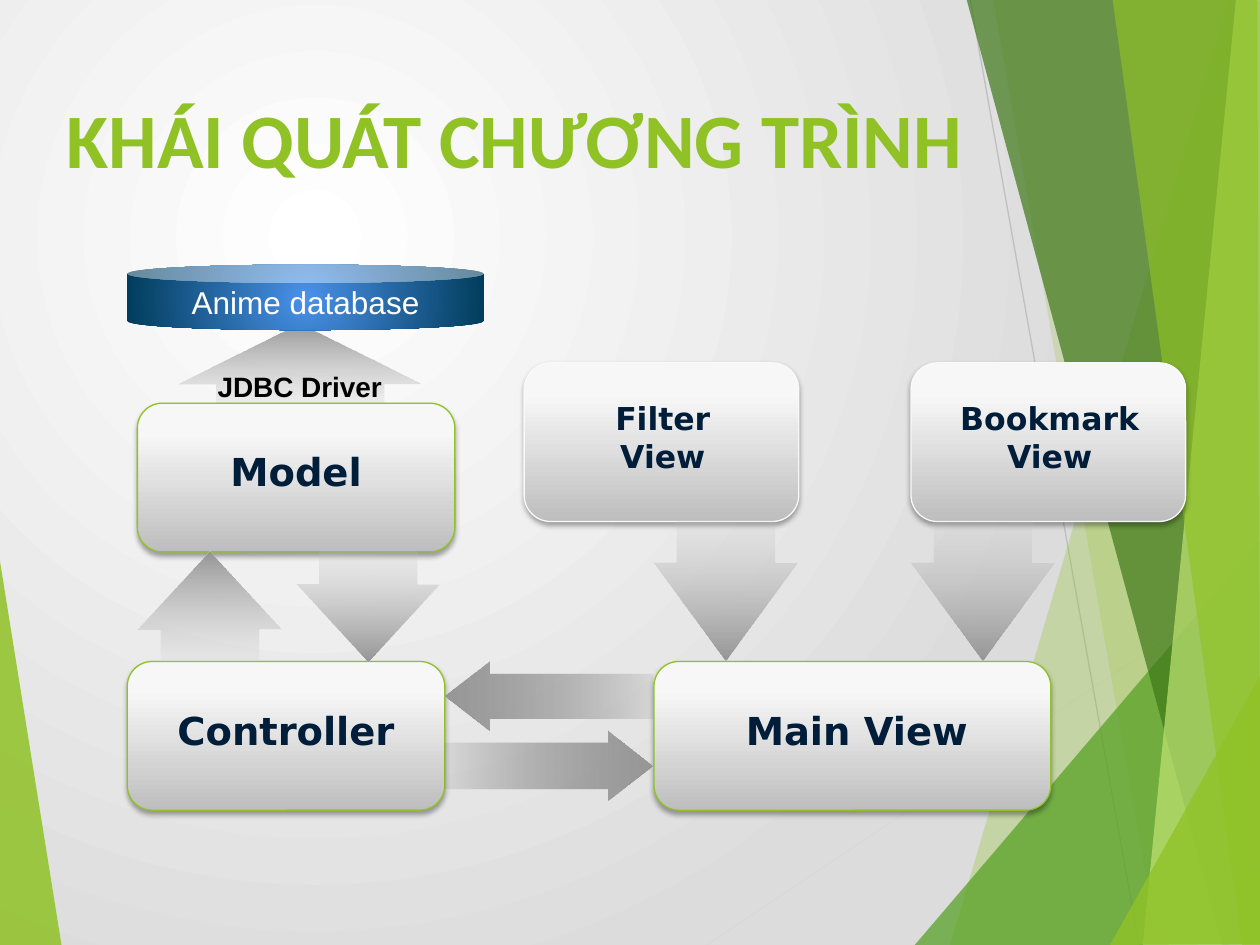
import pptx
import pptx.dml.color
import pptx.enum.shapes
import pptx.enum.text
import pptx.oxml
import pptx.oxml.ns
import pptx.util
from lxml import etree

Inches = pptx.util.Inches
Pt = pptx.util.Pt
qn = pptx.oxml.ns.qn
Shape = pptx.enum.shapes.MSO_SHAPE
Anchor = pptx.enum.text.MSO_ANCHOR
Align = pptx.enum.text.PP_ALIGN

COLORS = {
    "lime": "90C226", "green": "54A021", "forest": "3F7819", "pale": "C0E474",
    "navy": "001D3A", "white": "FFFFFF", "black": "000000",
    "page edge": "DCDCDC", "light rule": "D9D9D9", "dark rule": "BFBFBF",
    "card low": "BEBEBE", "card high": "F7F7F7", "card top": "F8F8F8",
    "arrow tip": "969696", "arrow tail": "C5C5C5", "side tail": "6B6B6B",
    "can centre": "4A91E9", "can edge": "003C5B", "soft border": "F9F9F9",
}
# Colour, opacity in percent, corner points
FACETS_BEHIND_RULES = [
    ("lime", 85, [(-0.01, 4.39), (0.49, 7.51), (-0.01, 7.5)]),
]
FACETS = [
    ("lime", 30, [(9.75, 0), (7.54, 7.5), (10.02, 7.51), (10.01, 0.01)]),
    ("lime", 20, [(7.88, -0.01), (9.19, 7.5), (10.01, 7.5), (10.01, -0.01)]),
    ("green", 72, [(7.26, 7.5), (10, 4.29), (10.01, 7.5)]),
    ("forest", 70, [(7.67, -0.01), (9.7, 7.5), (10.01, 7.49), (10.01, -0.01)]),
    ("pale", 70, [(9.81, -0.01), (9.07, 7.5), (10.01, 7.5), (10, -0.01)]),
    ("lime", 65, [(8.83, -0.01), (9.86, 7.5), (10, 7.5), (9.98, -0.01)]),
    ("lime", 80, [(8.81, 7.5), (10.01, 5.35), (10.01, 7.49)]),
]
CARD_STOPS = [(0, "card low", 100), (80, "card high", 100), (100, "card top", 100)]
ARROW_STOPS = [(0, "arrow tip", 100), (100, "arrow tail", 12)]
SIDE_STOPS = [(0, "arrow tip", 100), (100, "side tail", 12)]


def rgb(name):
    return pptx.dml.color.RGBColor.from_string(COLORS[name])


def add_color(parent, name, opacity):
    color = etree.SubElement(parent, qn("a:srgbClr"), val=COLORS[name])
    if opacity < 100:
        etree.SubElement(color, qn("a:alpha"), val=str(opacity * 1000))


def set_gradient(fill, owner, stops, angle=None, focus=None):
    """Fill with a linear gradient at angle, or a circular one around focus."""
    fill.solid()
    gradient = pptx.oxml.parse_xml(
        f'<a:gradFill {pptx.oxml.ns.nsdecls("a")} rotWithShape="1"/>')
    stop_list = etree.SubElement(gradient, qn("a:gsLst"))
    for position, name, opacity in stops:
        stop = etree.SubElement(stop_list, qn("a:gs"), pos=str(position * 1000))
        add_color(stop, name, opacity)
    if focus:
        circle = etree.SubElement(gradient, qn("a:path"), path="circle")
        edges = {side: str(value * 1000) for side, value in zip("ltrb", focus)}
        etree.SubElement(circle, qn("a:fillToRect"), edges)
    else:
        etree.SubElement(gradient, qn("a:lin"), ang=str(angle * 60000), scaled="0")
    solid = owner.find(".//" + qn("a:solidFill"))
    solid.getparent().replace(solid, gradient)


def set_text(shape, lines, size, font, color, bold=True, align=Align.CENTER):
    frame = shape.text_frame
    frame.text = "\n".join(lines)
    for paragraph in frame.paragraphs:
        paragraph.alignment = align
        paragraph.font.size = Pt(size)
        paragraph.font.name = font
        paragraph.font.bold = bold
        paragraph.font.color.rgb = rgb(color)
    return frame


def add_preset(slide, preset, box, adjustments, stops, angle=None, focus=None):
    shape = slide.shapes.add_shape(preset, *map(Inches, box))
    for index, value in enumerate(adjustments):
        shape.adjustments[index] = value
    shape.shadow.inherit = False
    shape.line.fill.background()
    set_gradient(shape.fill, shape._element.spPr, stops, angle, focus)
    return shape


def add_facet(slide, color, opacity, points):
    corners = [(Inches(x), Inches(y)) for x, y in points]
    builder = slide.shapes.build_freeform(*corners[0], scale=1.0)
    builder.add_line_segments(corners[1:], close=True)
    facet = builder.convert_to_shape()
    facet.shadow.inherit = False
    facet.line.fill.background()
    facet.fill.solid()
    facet.fill.fore_color.rgb = rgb(color)
    color_element = facet._element.spPr.find(".//" + qn("a:srgbClr"))
    etree.SubElement(color_element, qn("a:alpha"), val=str(opacity * 1000))


def add_rule(slide, color, start, end):
    rule = slide.shapes.add_connector(
        pptx.enum.shapes.MSO_CONNECTOR.STRAIGHT, *map(Inches, start + end))
    rule.line.color.rgb = rgb(color)
    rule.line.width = Pt(0.75)
    etree.SubElement(rule._element.spPr, qn("a:effectLst"))


def add_card(slide, box, border, label_box, lines, size):
    """Rounded box with a soft drop shadow and a label on top."""
    card = add_preset(slide, Shape.ROUNDED_RECTANGLE, box, [0.167], CARD_STOPS, 270)
    card.line.color.rgb = rgb(border)
    card.line.width = Pt(0.75)
    effects = card._element.spPr.find(qn("a:effectLst"))
    shadow = etree.SubElement(
        effects, qn("a:outerShdw"), blurRad=str(Pt(3.1)), dist=str(Pt(1.8)),
        dir=str(90 * 60000), rotWithShape="0")
    add_color(shadow, "black", 35)
    label = slide.shapes.add_textbox(*map(Inches, label_box))
    frame = set_text(label, lines, size, "DejaVu Sans", "navy")
    frame.word_wrap = True
    frame.auto_size = pptx.enum.text.MSO_AUTO_SIZE.SHAPE_TO_FIT_TEXT


def add_large_card(slide, left, top, width, text, label_left, label_width):
    add_card(slide, (left, top, width, 1.18), "lime",
             (label_left, top + 0.31, label_width, 0.47), [text], 22)


def add_small_card(slide, left, lines):
    add_card(slide, (left, 2.88, 2.18, 1.26), "soft border",
             (left + 0.24, 3.12, 1.72, 1.01), lines, 18)


def add_vertical_arrow(slide, box, rotation=0):
    arrow = add_preset(slide, Shape.UP_ARROW, box, [0.684, 0.708], ARROW_STOPS, 90)
    arrow.rotation = rotation
    return arrow


def add_side_arrow(slide, top, rotation):
    arrow = add_preset(slide, Shape.LEFT_ARROW, (3.53, top, 1.65, 0.55),
                       [0.656, 0.652], SIDE_STOPS, 0)
    arrow.rotation = rotation


def add_backdrop(slide):
    set_gradient(slide.background.fill, slide.element.find(".//" + qn("p:bgPr")),
                 [(0, "white", 100), (100, "page edge", 100)],
                 focus=(50, 50, 100, 100))
    for facet in FACETS_BEHIND_RULES:
        add_facet(slide, *facet)
    add_rule(slide, "light rule", (5.61, 7.5), (10.01, 4.57))
    add_rule(slide, "dark rule", (7.7, 0), (9.04, 7.5))
    for facet in FACETS:
        add_facet(slide, *facet)


def place_title(slide, text):
    title = slide.shapes.title
    title.left, title.top, title.width, title.height = map(
        Inches, (0.43, 0.68, 7.4, 1.44))
    frame = set_text(title, [text], 44, "Calibri", "lime", align=Align.LEFT)
    frame.vertical_anchor = Anchor.TOP
    slide.shapes._spTree.append(title._element)


def set_centred_line(shape, text, size, color, bold):
    """Put one unwrapped line in the middle of a shape."""
    frame = set_text(shape, [text], size, "Arial", color, bold)
    frame.word_wrap = False
    frame.vertical_anchor = Anchor.MIDDLE


def add_database(slide):
    can = add_preset(slide, Shape.CAN, (1.01, 2.1, 2.83, 0.52), [0.279],
                     [(0, "can centre", 100), (100, "can edge", 100)],
                     focus=(50, 50, 50, 50))
    set_centred_line(can, "Anime database", 18, "white", bold=False)


def add_driver_arrow(slide):
    arrow = add_vertical_arrow(slide, (1.41, 2.57, 1.94, 0.67))
    set_centred_line(arrow, "JDBC Driver", 16, "black", bold=True)


def main():
    presentation = pptx.Presentation()
    presentation.slide_width, presentation.slide_height = Inches(10), Inches(7.5)
    slide = presentation.slides.add_slide(presentation.slide_layouts[5])
    add_backdrop(slide)
    place_title(slide, "KHÁI QUÁT CHƯƠNG TRÌNH")
    add_driver_arrow(slide)
    add_small_card(slide, 4.16, ["Filter", "View"])
    add_database(slide)
    add_large_card(slide, 5.19, 5.25, 3.15, "Main View", 5.42, 2.76)
    add_large_card(slide, 1.09, 3.2, 2.52, "Model", 1.25, 2.2)
    add_large_card(slide, 1.01, 5.25, 2.52, "Controller", 1.17, 2.2)
    add_vertical_arrow(slide, (1.09, 4.38, 1.14, 0.87))
    add_vertical_arrow(slide, (2.35, 4.38, 1.14, 0.87), 180)
    add_side_arrow(slide, 5.25, 0)
    add_side_arrow(slide, 5.8, 180)
    add_small_card(slide, 7.23, ["Bookmark", "View"])
    for left in (5.19, 7.23):
        add_vertical_arrow(slide, (left, 4.14, 1.14, 1.1), 180)
    presentation.save("out.pptx")


if __name__ == "__main__":
    main()
